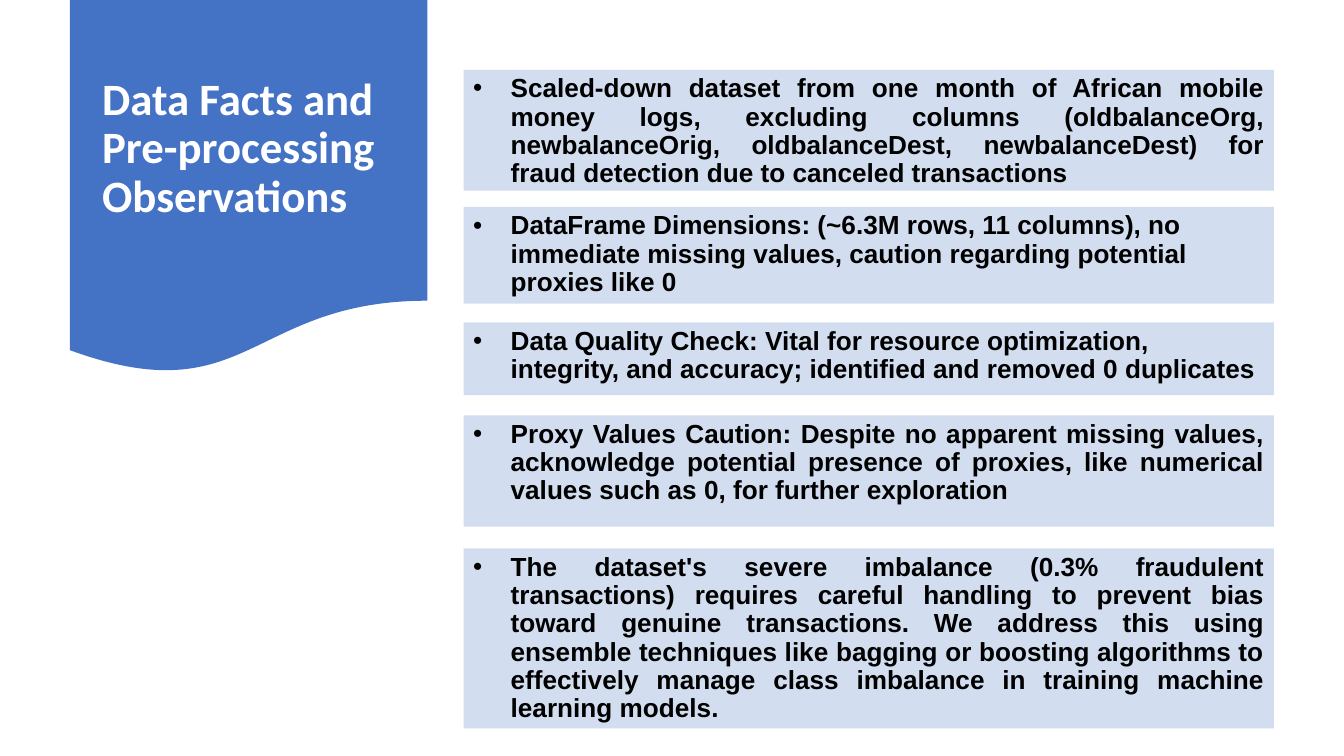
from lxml import etree
from pptx import Presentation
from pptx.dml.color import RGBColor
from pptx.enum.shapes import MSO_SHAPE
from pptx.enum.text import MSO_ANCHOR, MSO_AUTO_SIZE, PP_ALIGN
from pptx.oxml.ns import qn
from pptx.util import Inches, Pt

BLUE = RGBColor(0x44, 0x72, 0xC4)
PALE = RGBColor(0xD2, 0xDE, 0xEF)
BLACK = RGBColor(0, 0, 0)
WHITE = RGBColor(255, 255, 255)
LEFT, JUSTIFY = PP_ALIGN.LEFT, PP_ALIGN.JUSTIFY
TOP, MIDDLE = MSO_ANCHOR.TOP, MSO_ANCHOR.MIDDLE
RECT, BANNER = MSO_SHAPE.RECTANGLE, MSO_SHAPE.FLOWCHART_DOCUMENT

TITLE = "Data Facts and Pre-processing Observations"
FACTS = [
    (0.52, 0.90, JUSTIFY,
     "Scaled-down dataset from one month of African mobile money logs, "
     "excluding columns (oldbalanceOrg, newbalanceOrig, oldbalanceDest, "
     "newbalanceDest) for fraud detection due to canceled transactions"),
    (1.54, 0.72, LEFT,
     "DataFrame Dimensions: (~6.3M rows, 11 columns), no immediate missing "
     "values, caution regarding potential proxies like 0"),
    (2.40, 0.54, LEFT,
     "Data Quality Check: Vital for resource optimization, integrity, and "
     "accuracy; identified and removed 0 duplicates"),
    (3.09, 0.83, JUSTIFY,
     "Proxy Values Caution: Despite no apparent missing values, acknowledge "
     "potential presence of proxies, like numerical values such as 0, for "
     "further exploration"),
    (4.08, 1.34, JUSTIFY,
     "The dataset's severe imbalance (0.3% fraudulent transactions) requires "
     "careful handling to prevent bias toward genuine transactions. We address "
     "this using ensemble techniques like bagging or boosting algorithms to "
     "effectively manage class imbalance in training machine learning models."),
]
FACT_LEFT, FACT_WIDTH = 3.45, 6.03
INDENT = Inches(0.28)


def add_block(s, kind, left, top, width, height, color):
    sp = s.shapes.add_shape(kind, Inches(left), Inches(top), Inches(width), Inches(height))
    sp.shadow.inherit = False
    sp.fill.solid()
    sp.fill.fore_color.rgb = color
    sp.line.fill.background()
    return sp


def add_bullet(p):
    pPr = p._p.get_or_add_pPr()
    pPr.set("marL", str(INDENT))
    pPr.set("indent", str(-INDENT))
    color = etree.SubElement(pPr, qn("a:buClr"))
    etree.SubElement(color, qn("a:srgbClr"), val=str(BLACK))
    etree.SubElement(pPr, qn("a:buFont"), typeface="Arial")
    etree.SubElement(pPr, qn("a:buChar"), char="•")


def write(sp, text, align, anchor, font, size, color):
    tf = sp.text_frame
    tf.text = text
    tf.word_wrap = True
    tf.auto_size = MSO_AUTO_SIZE.NONE
    tf.vertical_anchor = anchor
    tf.margin_left = tf.margin_right = Inches(0.07)
    tf.margin_top = tf.margin_bottom = Inches(0.04)
    p = tf.paragraphs[0]
    p.alignment = align
    p.line_spacing = 0.9
    r = p.runs[0]
    r.font.name = font
    r.font.size = Pt(size)
    r.font.bold = True
    r.font.color.rgb = color
    return p


prs = Presentation()
prs.slide_width = Inches(10)
prs.slide_height = prs.slide_width * 9 // 16
s = prs.slides.add_slide(prs.slide_layouts[5])

banner = add_block(s, BANNER, 0.52, 0, 2.66, 2.79, BLUE)
title = s.shapes.title
title.element.addprevious(banner.element)
title.left, title.top = Inches(0.69), Inches(0.14)
title.width, title.height = Inches(2.33), Inches(1.94)
p = write(title, TITLE, LEFT, MIDDLE, "Calibri", 24, WHITE)
p.space_after = Pt(5)

for top, height, align, text in FACTS:
    sp = add_block(s, RECT, FACT_LEFT, top, FACT_WIDTH, height, PALE)
    add_bullet(write(sp, text, align, TOP, "Arial", 14, BLACK))

prs.save("out.pptx")
